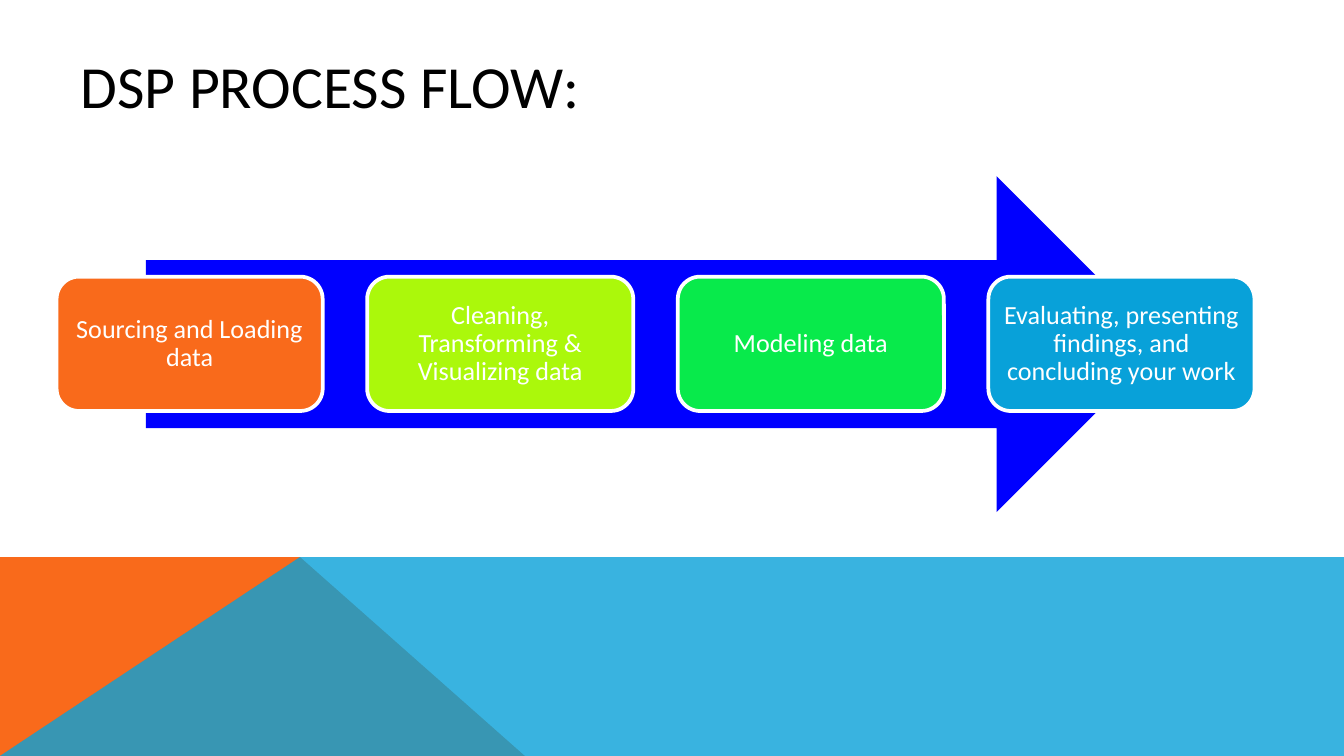
"""Build the DSP process flow slide."""
from lxml import etree
from pptx import Presentation
from pptx.dml.color import RGBColor
from pptx.enum import shapes, text
from pptx.oxml.ns import qn
from pptx.util import Cm, Pt


def paint(shape, fill, line=None):
    shape.shadow.inherit = False
    shape.fill.solid()
    shape.fill.fore_color.rgb = RGBColor.from_string(fill)
    if line:
        shape.line.color.rgb = RGBColor.from_string(line)
        shape.line.width = Pt(2)
    else:
        shape.line.fill.background()


def write(shape, words, size, color, align, inset=None, space=1.0):
    frame = shape.text_frame
    frame.word_wrap = True
    frame.auto_size = text.MSO_AUTO_SIZE.NONE
    frame.vertical_anchor = text.MSO_ANCHOR.MIDDLE
    if inset is not None:
        frame.margin_left = frame.margin_right = inset
        frame.margin_top = frame.margin_bottom = inset
    para = frame.paragraphs[0]
    para.alignment = align
    para.line_spacing = space
    run = para.add_run()
    run.text = words
    run.font.name = "Calibri"
    run.font.size = Pt(size)
    run.font.color.rgb = RGBColor.from_string(color)


wide, high = 25.4, 14.29
deck = Presentation()
deck.slide_width, deck.slide_height = Cm(wide), Cm(high)
slide = deck.slides.add_slide(deck.slide_layouts[5])
parts = slide.shapes

top, peak = 10.53, 5.67
bands = [
    ("F96A1B", None, [(0, high), (0, top), (peak, top), (9.92, high)]),
    ("08A1D9", 80, [(0, high), (peak, top), (wide, top), (wide, high)]),
]
for fill, alpha, points in bands:
    spots = [(Cm(x), Cm(y)) for x, y in points]
    pen = parts.build_freeform(*spots[0])
    pen.add_line_segments(spots[1:], close=True)
    band = pen.convert_to_shape()
    paint(band, fill)
    if alpha:
        color = band.fill._xPr.find(qn("a:solidFill"))[0]
        etree.SubElement(color, qn("a:alpha"), val=str(alpha * 1000))

title = parts.title
title.left, title.top = Cm(1.27), Cm(0.71)
title.width, title.height = Cm(22.86), Cm(1.78)
write(title, "DSP PROCESS FLOW:", 32, "000000", text.PP_ALIGN.LEFT)

arrow = parts.add_shape(shapes.MSO_SHAPE.RIGHT_ARROW,
                        Cm(2.76), Cm(3.33), Cm(19.25), Cm(6.35))
paint(arrow, "0000FF")

steps = [
    ("Sourcing and Loading data", "F96A1B"),
    ("Cleaning, Transforming & Visualizing data", "ABF80B"),
    ("Modeling data", "08EA4B"),
    ("Evaluating, presenting findings, and concluding your work", "08A1D9"),
]
for i, (words, fill) in enumerate(steps):
    box = parts.add_shape(shapes.MSO_SHAPE.ROUNDED_RECTANGLE,
                          Cm(1.07 + 5.87 * i), Cm(5.23), Cm(5.03), Cm(2.54))
    paint(box, fill, "FFFFFF")
    write(box, words, 14, "FFFFFF", text.PP_ALIGN.CENTER,
          inset=Cm(0.15), space=0.9)

deck.save("out.pptx")
